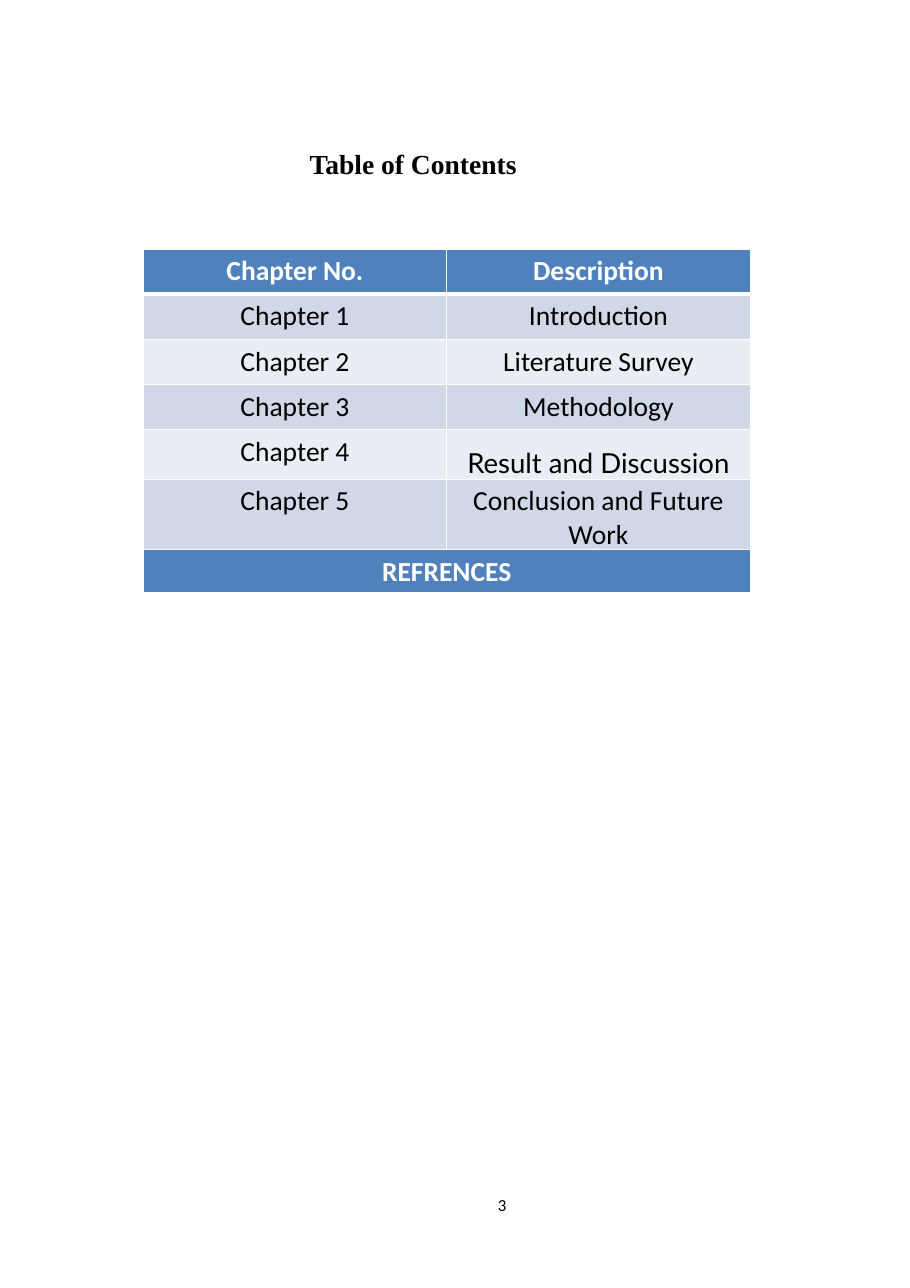
from lxml import etree
from pptx import Presentation
from pptx.dml.color import RGBColor
from pptx.enum.text import MSO_ANCHOR, MSO_AUTO_SIZE, PP_ALIGN
from pptx.oxml.ns import qn
from pptx.util import Inches, Pt

TOP, NO_FIT = MSO_ANCHOR.TOP, MSO_AUTO_SIZE.NONE
LEFT, CENTER = PP_ALIGN.LEFT, PP_ALIGN.CENTER
BLACK = RGBColor(0x00, 0x00, 0x00)
WHITE = RGBColor(0xFF, 0xFF, 0xFF)
BLUE = RGBColor(0x4F, 0x81, 0xBD)
BANDS = (RGBColor(0xD0, 0xD8, 0xE8), RGBColor(0xE9, 0xED, 0xF4))

CHAPTERS = ["Introduction", "Literature Survey", "Methodology",
            "Result and Discussion", "Conclusion and Future Work"]
ROW_HEIGHTS = [0.41, 0.41, 0.41, 0.41, 0.44, 0.65]


def style_font(p, size, color, bold=False, name="Calibri"):
    """Set the font of a whole paragraph."""
    p.font.name, p.font.size = name, Pt(size)
    p.font.bold, p.font.color.rgb = bold, color


def fill_text(shape, text, indent=0):
    """Put one left-aligned line in a shape without margins."""
    tf = shape.text_frame
    tf.text = text
    tf.word_wrap, tf.auto_size, tf.vertical_anchor = False, NO_FIT, TOP
    tf.margin_left = Inches(indent)
    tf.margin_top = tf.margin_right = tf.margin_bottom = 0
    p = tf.paragraphs[0]
    p.alignment = LEFT
    return p


def add_title(s, x, y, w, h):
    """Place the heading in the title placeholder."""
    title = s.shapes.title
    title.left, title.top, title.width, title.height = map(Inches, (x, y, w, h))
    p = fill_text(title, "Table of Contents", 0.01)
    style_font(p, 18, BLACK, True, "Times New Roman")


def add_page_number(s, x, y, w, h):
    """Place the page number at the foot of the page."""
    box = s.shapes.add_textbox(*map(Inches, (x, y, w, h)))
    style_font(fill_text(box, "3", 0.03), 11, BLACK)


def set_borders(cell, top=1, bottom=1):
    """Draw white cell borders with the given top and bottom widths."""
    tc_pr = cell._tc.get_or_add_tcPr()
    for side, width in (("L", 1), ("R", 1), ("T", top), ("B", bottom)):
        ln = etree.SubElement(tc_pr, qn("a:ln" + side), w=str(Pt(width)))
        solid = etree.SubElement(ln, qn("a:solidFill"))
        etree.SubElement(solid, qn("a:srgbClr"), val=str(WHITE))


def fill_cell(cell, text, fill, top=1, bottom=1):
    """Write a centred cell; blue cells carry bold white text."""
    set_borders(cell, top, bottom)
    cell.fill.solid()
    cell.fill.fore_color.rgb = fill
    cell.text = text
    p = cell.text_frame.paragraphs[0]
    p.alignment = CENTER
    heading = fill == BLUE
    style_font(p, 18, WHITE if heading else BLACK, heading)
    return p


def add_grid(s, x, y, w, heights, cols):
    """Add an unbanded table with the given row heights."""
    frame = s.shapes.add_table(len(heights), cols, Inches(x), Inches(y),
                               Inches(w), Inches(sum(heights)))
    table = frame.table
    table.horz_banding = False
    for row, height in zip(table.rows, heights):
        row.height = Inches(height)
    return table


def add_contents(s, x, y, w):
    """Add the chapter table."""
    table = add_grid(s, x, y, w, ROW_HEIGHTS, 2)
    for col, text in enumerate(("Chapter No.", "Description")):
        fill_cell(table.cell(0, col), text, BLUE, bottom=3)
    for i, name in enumerate(CHAPTERS, 1):
        band, top = BANDS[(i - 1) % 2], 3 if i == 1 else 1
        fill_cell(table.cell(i, 0), f"Chapter {i}", band, top)
        cell = table.cell(i, 1)
        p = fill_cell(cell, name, band, top)
        if name == "Result and Discussion":
            p.font.name = "Lato"
            p.line_spacing, p.space_after = 1.5, Pt(8)
            cell.margin_left = cell.margin_right = Inches(0.07)
            cell.margin_top = cell.margin_bottom = 0


def add_references(s, x, y, w, h):
    """Add the closing band below the chapters."""
    table = add_grid(s, x, y, w, [h], 1)
    fill_cell(table.cell(0, 0), "REFRENCES", BLUE, bottom=3)


def main():
    """Build the contents page."""
    prs = Presentation()
    prs.slide_width, prs.slide_height = Inches(8.26), Inches(11.69)
    s = prs.slides.add_slide(prs.slide_layouts[5])
    x, y, w = 1.3, 2.26, 5.51
    add_page_number(s, 4.49, 10.84, 0.21, 0.18)
    add_title(s, 2.8, 1.33, 1.93, 0.28)
    add_contents(s, x, y, w)
    add_references(s, x, y + sum(ROW_HEIGHTS), w, 0.4)
    prs.save("out.pptx")


main()
